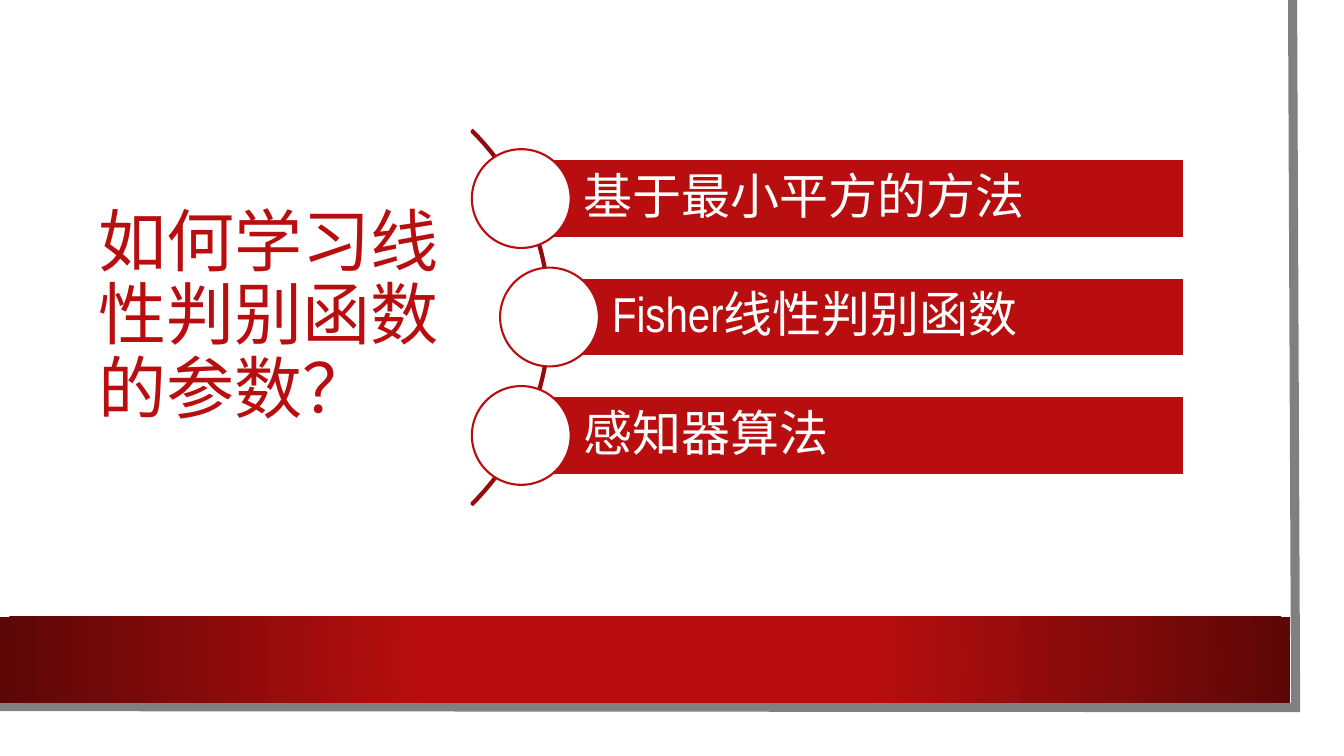
from lxml import etree
from pptx import Presentation
from pptx.dml.color import RGBColor
from pptx.enum.shapes import MSO_SHAPE as Shape
from pptx.enum.text import MSO_ANCHOR as Anchor, PP_ALIGN as Align
from pptx.oxml import parse_xml
from pptx.oxml.ns import nsdecls, qn
from pptx.util import Inches, Pt

TITLE = "如何学习线性判别函数的参数？"
METHODS = [("基于最小平方的方法", 5.17), ("Fisher线性判别函数", 5.45), ("感知器算法", 5.17)]
FONT = "Arial Narrow"
RED, DARK, ARC_RED, WHITE, GREY = "B80E0F", "5C0707", "930B0C", "FFFFFF", "808080"
EDGE = [(12.82, 0), (12.85, 7.02), (-0.03, 7.01)]
FIRST_TOP, LAST_TOP, BAR_HEIGHT, BAR_RIGHT = 1.58, 3.93, 0.78, 11.74
DOT = 0.98
GRADIENT = f"""<a:gradFill {nsdecls("a")} rotWithShape="1"><a:gsLst>
<a:gs pos="34000"><a:srgbClr val="{RED}"/></a:gs>
<a:gs pos="100000"><a:srgbClr val="{DARK}"/></a:gs></a:gsLst>
<a:path path="circle"><a:fillToRect l="50000" t="50000" r="50000" b="50000"/></a:path>
</a:gradFill>"""

deck = Presentation()
deck.slide_width, deck.slide_height = Inches(13.33), Inches(7.5)
slide = deck.slides.add_slide(deck.slide_layouts[6])


def color(value):
    return RGBColor.from_string(value)


def paint(shape, fill=None, line=None, width=1.5):
    shape.shadow.inherit = False
    if fill:
        shape.fill.solid()
        shape.fill.fore_color.rgb = color(fill)
    else:
        shape.fill.background()
    if line:
        shape.line.color.rgb = color(line)
        shape.line.width = Pt(width)
    else:
        shape.line.fill.background()
    return shape


def add(kind, left, top, width, height, **look):
    box = [Inches(v) for v in (left, top, width, height)]
    return paint(slide.shapes.add_shape(kind, *box), **look)


def write(shape, text, size, ink, inset=0.1, margin=0.1):
    frame = shape.text_frame
    frame.word_wrap = True
    frame.vertical_anchor = Anchor.MIDDLE
    frame.margin_left = Inches(inset)
    frame.margin_right = Inches(0.1)
    frame.margin_top = frame.margin_bottom = Inches(margin)
    line = frame.paragraphs[0]
    line.alignment = Align.LEFT
    line.line_spacing = 0.9
    run = line.add_run()
    run.text = text
    run.font.name = FONT
    run.font.size = Pt(size)
    run.font.color.rgb = color(ink)


add(Shape.RECTANGLE, 0, 0, 13.1, 7.27, fill=WHITE)

builder = slide.shapes.build_freeform(*[Inches(v) for v in EDGE[0]])
builder.add_line_segments([(Inches(x), Inches(y)) for x, y in EDGE[1:]], close=False)
edge = paint(builder.convert_to_shape(), line=GREY, width=6.5)
etree.SubElement(edge.line._get_or_add_ln(), qn("a:miter"), lim="800000")

band = add(Shape.RECTANGLE, 0, 6.12, 12.8, 0.85, fill=RED)
solid = band.fill._xPr.find(qn("a:solidFill"))
solid.getparent().replace(solid, parse_xml(GRADIENT))

title = slide.shapes.add_textbox(Inches(0.88), Inches(2.52), Inches(3.75), Inches(1.26))
write(title, TITLE, 48.6, RED, margin=0.05)

arc = add(Shape.BLOCK_ARC, 0.2, 0.52, 5.26, 5.26, fill=ARC_RED, line=ARC_RED)
for index, value in enumerate((189, 27, 0.004)):
    arc.adjustments[index] = value

pitch = (LAST_TOP - FIRST_TOP) / (len(METHODS) - 1)
for row, (method, left) in enumerate(METHODS):
    top = FIRST_TOP + row * pitch
    bar = add(Shape.RECTANGLE, left, top, BAR_RIGHT - left, BAR_HEIGHT, fill=RED, line=WHITE)
    write(bar, method, 35, WHITE, inset=0.62)
    add(Shape.OVAL, left - DOT / 2, top + (BAR_HEIGHT - DOT) / 2, DOT, DOT, fill=WHITE, line=RED)

deck.save("out.pptx")
